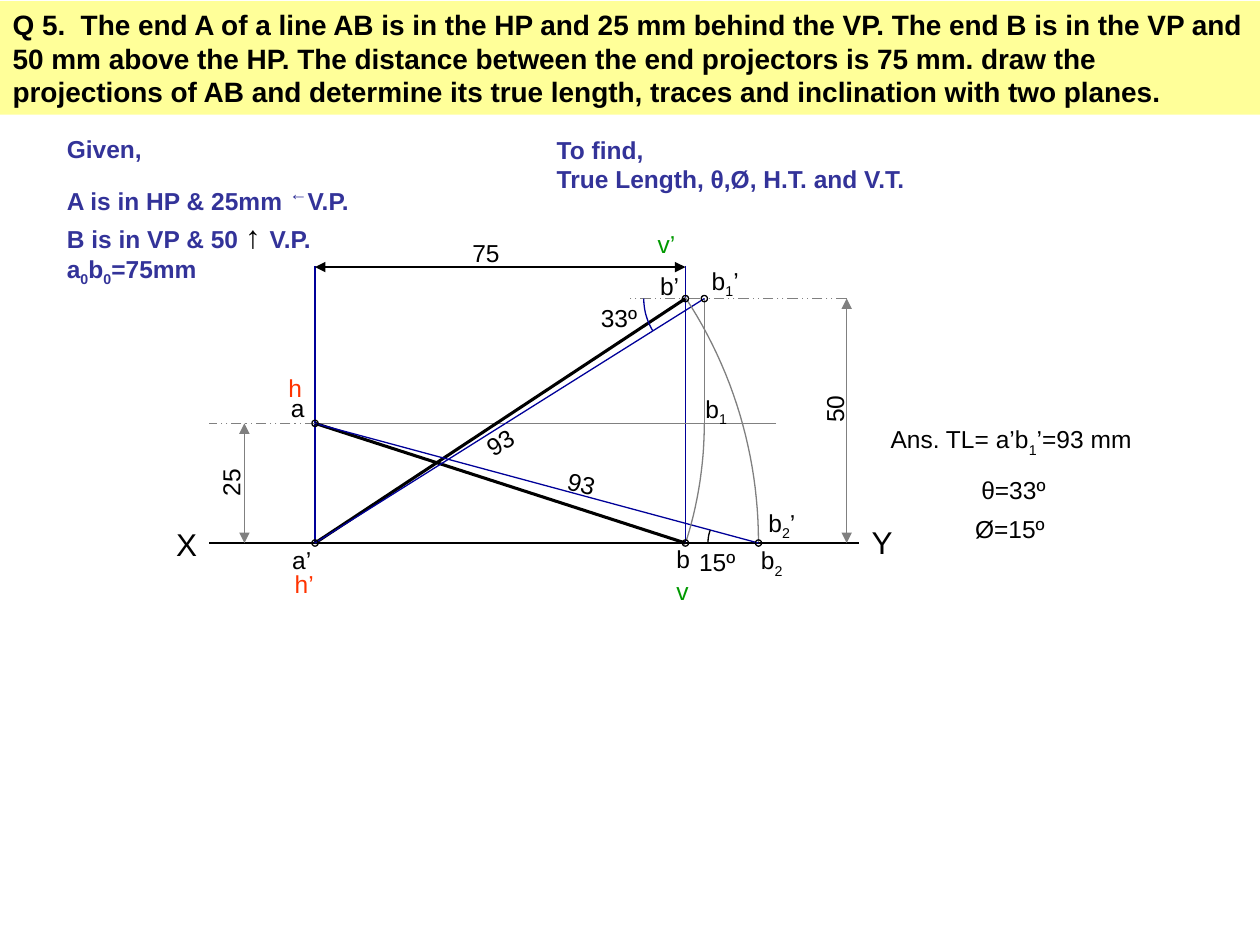
"""Build a slide that solves a line projection problem with a drawing."""
from math import cos, radians, sin

from lxml.etree import SubElement
from pptx import Presentation
from pptx.dml.color import RGBColor
from pptx.enum.dml import MSO_LINE
from pptx.enum.shapes import MSO_CONNECTOR, MSO_SHAPE
from pptx.enum.text import MSO_ANCHOR, MSO_AUTO_SIZE, PP_ALIGN
from pptx.oxml.ns import qn
from pptx.util import Inches, Pt

HUES = {"black": "000000", "cream": "FFFF99", "indigo": "333399", "navy": "000099",
        "grey": "808080", "red": "FF3300", "green": "009900"}
LEFT, RIGHT, SWING, REACH = 2.5, 5.44, 5.59, 6.02
TOP, MID, BASE = 2.37, 3.36, 4.31


def hue(name):
    return RGBColor.from_string(HUES[name])


def write(para, text, size=14, tone="black", bold=False, shift=0):
    for count, part in enumerate(text.split("_")):
        if not part:
            continue
        run = para.add_run()
        run.text = part
        font = run.font
        font.name, font.size, font.bold = "Arial", Pt(size), bold
        font.color.rgb = hue(tone)
        base = -25000 if count % 2 else shift
        if base:
            font._element.set("baseline", str(base))


def place(shape, left, top, width, height):
    shape.left, shape.top = Inches(left), Inches(top)
    shape.width, shape.height = Inches(width), Inches(height)
    frame = shape.text_frame
    frame.word_wrap = True
    frame.auto_size = MSO_AUTO_SIZE.NONE
    frame.vertical_anchor = MSO_ANCHOR.TOP
    return frame


def label(slide, text, left, top, width=0.42, height=0.33, turn=0, **style):
    box = slide.shapes.add_textbox(0, 0, 0, 0)
    frame = place(box, left, top, width, height)
    box.rotation = turn
    for count, line in enumerate(text.split("\n")):
        para = frame.add_paragraph() if count else frame.paragraphs[0]
        write(para, line, **style)


def line(slide, start, end, tone="black", width=0.75, dash=None, arrows=False):
    link = slide.shapes.add_connector(MSO_CONNECTOR.STRAIGHT, *map(Inches, start + end))
    link.line.color.rgb = hue(tone)
    link.line.width = Pt(width)
    if dash:
        link.line.dash_style = dash
    if arrows:
        pen = link.line._get_or_add_ln()
        for tag in ("a:headEnd", "a:tailEnd"):
            SubElement(pen, qn(tag), type="triangle")
    SubElement(link._element.spPr, qn("a:effectLst"))


def outline(shape, tone):
    shape.shadow.inherit = False
    shape.fill.background()
    shape.line.color.rgb = hue(tone)
    shape.line.width = Pt(0.75)


def ring(slide, x, y, size=0.05):
    dot = slide.shapes.add_shape(MSO_SHAPE.OVAL, Inches(x - size / 2), Inches(y - size / 2),
                                 Inches(size), Inches(size))
    outline(dot, "black")


def arc(slide, mid, reach, first, last, tone, steps=24):
    turns = [radians(first + (last - first) * i / steps) for i in range(steps + 1)]
    spots = [(Inches(mid[0] + reach * cos(t)), Inches(mid[1] + reach * sin(t))) for t in turns]
    form = slide.shapes.build_freeform(*spots[0])
    form.add_line_segments(spots[1:], close=False)
    outline(form.convert_to_shape(), tone)


def head(slide):
    title = slide.shapes.title
    frame = place(title, 0, 0.01, 10, 0.9)
    title.fill.solid()
    title.fill.fore_color.rgb = hue("cream")
    para = frame.paragraphs[0]
    para.alignment = PP_ALIGN.LEFT
    para.line_spacing = 1.0
    para.space_before = Pt(0)
    write(para, "Q 5.  The end A of a line AB is in the HP and 25 mm behind the VP. "
          "The end B is in the VP and 50 mm above the HP. The distance between the end "
          "projectors is 75 mm. draw the projections of AB and determine its true length, "
          "traces and inclination with two planes.", size=16, bold=True)


def given(slide):
    frame = place(slide.placeholders[1], 0.43, 1.01, 3.43, 1.22)
    main = {"tone": "indigo", "bold": True}
    rows = [
        (0, [("Given,", main)]),
        (9, [("A is in HP & 25mm ", main),
             ("←", {"size": 18, "tone": "indigo", "shift": 30000}), ("V.P.", main)]),
        (0, [("B is in VP & 50 ", main), ("↑ ", {"size": 18, "bold": True}), ("V.P.", main)]),
        (0, [("a_0_b_0_=75mm", main)]),
    ]
    for count, (gap, parts) in enumerate(rows):
        para = frame.add_paragraph() if count else frame.paragraphs[0]
        props = para._p.get_or_add_pPr()
        props.set("marL", "0")
        props.set("indent", "0")
        SubElement(props, qn("a:buNone"))
        para.space_before = Pt(gap)
        for text, style in parts:
            write(para, text, **style)


def draw(slide):
    line(slide, (1.66, BASE), (6.82, BASE))
    for x in (LEFT, RIGHT):
        line(slide, (x, 2.11), (x, BASE), "navy")
    line(slide, (LEFT, 2.12), (RIGHT, 2.12), arrows=True)
    line(slide, (6.72, BASE), (6.72, TOP), "grey", arrows=True)
    line(slide, (1.94, BASE), (1.94, MID), "grey", arrows=True)
    for start, end in (((6.72, TOP), (5, TOP)), ((LEFT, MID), (1.66, MID))):
        line(slide, start, end, "grey", dash=MSO_LINE.DASH_DOT_DOT)
    line(slide, (6.16, MID), (LEFT, MID), "grey")
    line(slide, (SWING, MID), (SWING, TOP), "grey")
    line(slide, (LEFT, BASE), (RIGHT, TOP), width=1.75)
    line(slide, (LEFT, MID), (RIGHT, BASE), width=1.75)
    line(slide, (LEFT, BASE), (SWING, TOP), "navy")
    line(slide, (LEFT, MID), (REACH, BASE), "navy")
    arc(slide, (2.48, MID), 3.11, 17.4, 0, "grey")
    arc(slide, (2.49, 4.3), 3.53, -33.3, 0, "grey")
    arc(slide, (5.6, TOP), 0.49, 148.8, 180, "navy")
    arc(slide, (5.87, 4.3), 0.25, 201.4, 180, "black")
    for x, y in ((LEFT, MID), (LEFT, BASE), (RIGHT, TOP), (RIGHT, BASE),
                 (SWING, TOP), (REACH, BASE)):
        ring(slide, x, y)


def name(slide):
    label(slide, "To find,\nTrue Length, θ,Ø, H.T. and V.T.", 4.32, 1.02, 3.43, 0.57,
          tone="indigo", bold=True)
    label(slide, "X", 1.3, 4.12, 0.59, 0.4, size=18)
    label(slide, "Y", 6.82, 4.1, 0.53, 0.4, size=18)
    for text, x, y, turn in (("75", 3.65, 1.84, 0), ("50", 6.41, 3.08, 270),
                             ("25", 1.62, 3.66, 270), ("93", 3.76, 3.34, 328.7),
                             ("93", 4.41, 3.67, 15), ("a’", 2.22, 4.28, 0),
                             ("b’", 5.14, 2.1, 0), ("a", 2.21, 3.07, 0),
                             ("b", 5.27, 4.27, 0)):
        label(slide, text, x, y, turn=turn)
    for text, x, y, tone in (("h’", 2.24, 4.47, "red"), ("h", 2.19, 2.91, "red"),
                             ("v", 5.27, 4.52, "green"), ("v’", 5.12, 1.77, "green")):
        label(slide, text, x, y, tone=tone)
    for text, x, y, width in (("b_1_’", 5.55, 2.06, 0.48), ("b_1", 5.5, 3.08, 0.48),
                              ("b_2_’", 6, 3.98, 0.48), ("b_2", 5.94, 4.28, 0.48),
                              ("33º", 4.67, 2.36, 0.67), ("15º", 5.45, 4.29, 0.53),
                              ("Ans. TL= a’b_1_’=93 mm", 6.97, 3.32, 3.03),
                              ("θ=33º", 7.69, 3.72, 1.1), ("Ø=15º", 7.64, 4.03, 1.2)):
        label(slide, text, x, y, width)


def main():
    deck = Presentation()
    deck.slide_width, deck.slide_height = Inches(10), Inches(7.5)
    slide = deck.slides.add_slide(deck.slide_layouts[1])
    head(slide)
    given(slide)
    draw(slide)
    name(slide)
    deck.save("out.pptx")


if __name__ == "__main__":
    main()
